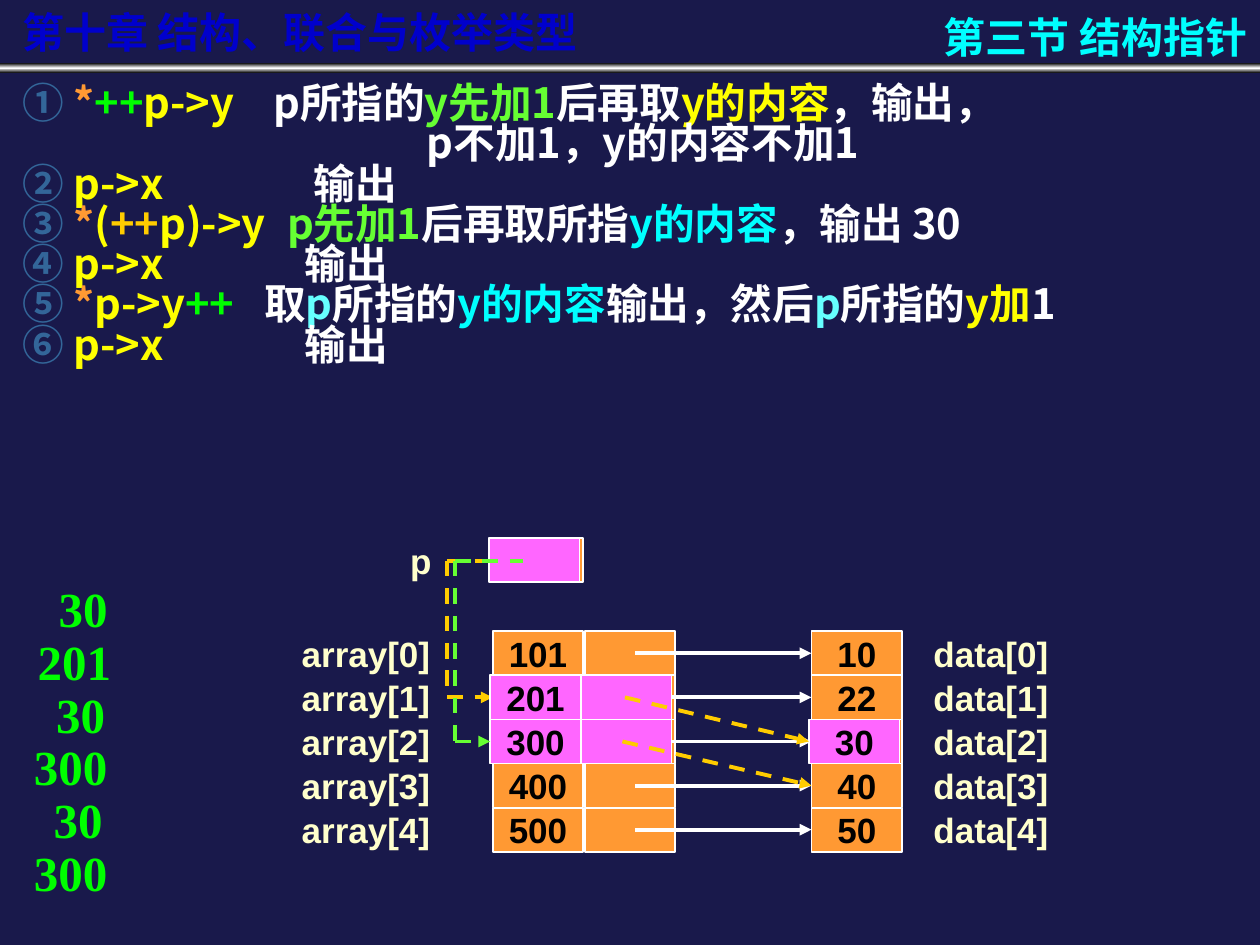
import copy

import lxml.etree
import pptx
import pptx.dml.color
import pptx.enum.dml
import pptx.enum.shapes
import pptx.enum.text
import pptx.oxml.ns
import pptx.util

RGB = pptx.dml.color.RGBColor
ALIGN = pptx.enum.text.PP_ALIGN
ANCHOR = pptx.enum.text.MSO_ANCHOR
NAVY = RGB(0x19, 0x19, 0x4B)
BLACK = RGB(0, 0, 0)
WHITE = RGB(0xFF, 0xFF, 0xFF)
BLUE = RGB(0, 0, 0xCC)
STEEL = RGB(0x33, 0x66, 0x99)
ORANGE = RGB(0xFF, 0x99, 0x33)
GOLD = RGB(0xFF, 0xCC, 0)
YELLOW = RGB(0xFF, 0xFF, 0)
CREAM = RGB(0xFF, 0xFF, 0xCC)
GREEN = RGB(0, 0xFF, 0)
LIME = RGB(0x66, 0xFF, 0x33)
CYAN = RGB(0, 0xFF, 0xFF)
SKY = RGB(0x66, 0xFF, 0xFF)
PINK = RGB(0xFF, 0x66, 0xFF)
SANS = "Arial"
SERIF = "Times New Roman"
HAN = "Noto Sans CJK SC"

NOTES = [
    (1.99, 0, [("① ", STEEL), ("*", ORANGE), ("++", GREEN), ("p->y\t", YELLOW),
               ("p所指的", WHITE), ("y先加1", LIME), ("后再取", WHITE),
               ("y的内容", YELLOW), ("，输出，", WHITE)]),
    (None, 3.21, [("p不加1，y的内容不加1", WHITE)]),
    (2.31, 0, [("② ", STEEL), ("p->x\t", YELLOW), ("输出", WHITE)]),
    (2.1, 0, [("③ ", STEEL), ("*", ORANGE), ("(", YELLOW), ("++", GOLD),
              ("p)->y\t", YELLOW), ("p先加1", LIME), ("后再取所指", WHITE),
              ("y的内容", CYAN), ("，输出 30", WHITE)]),
    (2.24, 0, [("④ ", STEEL), ("p->x\t", YELLOW), ("输出", WHITE)]),
    (1.92, 0, [("⑤ ", STEEL), ("*", ORANGE), ("p->y", YELLOW), ("++\t", GREEN),
               ("取", WHITE), ("p", SKY), ("所指的", WHITE), ("y的内容", CYAN),
               ("输出，然后", WHITE), ("p", SKY), ("所指的", WHITE),
               ("y加", YELLOW), ("1", WHITE)]),
    (2.24, 0, [("⑥ ", STEEL), ("p->x\t", YELLOW), ("输出", WHITE)]),
]


def frame(*nums):
    return [pptx.util.Inches(num) for num in nums]


def child(node, tag, **attrs):
    return lxml.etree.SubElement(node, pptx.oxml.ns.qn(tag), **attrs)


def write(shape, text, size=20, font=SANS, color=BLACK, align=ALIGN.CENTER,
          anchor=ANCHOR.MIDDLE, wrap=True, new=False, shade=None):
    body = shape.text_frame
    body.word_wrap = wrap
    body.auto_size = pptx.enum.text.MSO_AUTO_SIZE.NONE
    body.vertical_anchor = anchor
    para = body.add_paragraph() if new else body.paragraphs[0]
    para.alignment = align
    runs = [(text, color)] if isinstance(text, str) else text
    for words, tint in runs:
        run = para.add_run()
        run.text = words
        run.font.size = pptx.util.Pt(size)
        run.font.bold = True
        run.font.color.rgb = tint
        props = run.font._element
        if shade:
            drop = child(child(props, "a:effectLst"), "a:outerShdw",
                         dist="25400", dir="2700000")
            child(drop, "a:srgbClr", val=shade)
        run.font.name = font
        child(props, "a:ea", typeface=font)
    return para


def label(slide, box, text, **form):
    shape = slide.shapes.add_textbox(*frame(*box))
    write(shape, text, **form)
    return shape


def block(slide, box, fill=ORANGE, text=None):
    shape = slide.shapes.add_shape(
        pptx.enum.shapes.MSO_SHAPE.RECTANGLE, *frame(*box))
    shape.shadow.inherit = False
    shape.fill.solid()
    shape.fill.fore_color.rgb = fill
    shape.line.color.rgb = WHITE
    shape.line.width = pptx.util.Pt(1)
    if text:
        write(shape, text)
    return shape


def link(slide, start, end, color=WHITE, dash=False, head=False, goal=None):
    line = slide.shapes.add_connector(
        pptx.enum.shapes.MSO_CONNECTOR.STRAIGHT, *frame(*start, *end))
    line.line.color.rgb = color
    line.line.width = pptx.util.Pt(2.25)
    if dash:
        line.line.dash_style = pptx.enum.dml.MSO_LINE.DASH
    if head:
        child(line.line._get_or_add_ln(), "a:tailEnd", type="triangle")
    child(line._element.spPr, "a:effectLst")
    if goal is not None:
        line.end_connect(goal, 1)


def header(slide, box):
    x, y, w, h = box
    bar = block(slide, (x, y + h - 0.08, w, 0.08))
    bar.line.fill.background()
    bar.fill.gradient()
    bar.fill.gradient_angle = 90
    stops = bar._element.spPr.find(".//" + pptx.oxml.ns.qn("a:gsLst"))
    stops.append(copy.deepcopy(stops[0]))
    for stop, spot, tint in zip(bar.fill.gradient_stops, (0, 0.5, 1),
                                (BLACK, WHITE, BLACK)):
        stop.position = spot
        stop.color.rgb = tint
    label(slide, (x + 0.08, y + 0.08, 5, 0.42), "第十章 结构、联合与枚举类型",
          size=24, font=HAN, color=BLUE, align=ALIGN.LEFT,
          anchor=ANCHOR.BOTTOM, shade="808080")
    title = slide.shapes.title
    title.left, title.top, title.width, title.height = frame(
        x + w - 3.92, y, 3.92, h)
    write(title, "第三节 结构指针", size=24, font=HAN, color=CYAN,
          align=ALIGN.RIGHT)


def notes(slide, box):
    shape = slide.shapes.add_textbox(*frame(*box))
    for row, (stop, indent, runs) in enumerate(NOTES):
        para = write(shape, runs, size=23.8, font=HAN, align=ALIGN.JUSTIFY,
                     anchor=ANCHOR.TOP, new=row > 0)
        props = para._p.get_or_add_pPr()
        if indent:
            props.set("marL", str(pptx.util.Inches(indent)))
        if stop:
            child(child(props, "a:tabLst"), "a:tab",
                  pos=str(pptx.util.Inches(stop)), algn="l")
        para.line_spacing = 0.7
        if row:
            para.space_before = pptx.util.Pt(3)


def elbow(slide, start, turn, goal, color):
    x, y = turn
    end = y + (goal.top + goal.height / 2) / pptx.util.Inches(1) - y
    link(slide, turn, (start, y), color, dash=True)
    link(slide, turn, (x, end), color, dash=True)
    link(slide, (x, end), (x, end), color, dash=True, head=True, goal=goal)


def memory(slide, box):
    x, y, w, h = box
    wide, high = 0.72, 0.35
    keys, refs, vals = x + 1.74, x + 2.47, x + 4.27
    tops = [y + 0.74 + high * row for row in range(5)]
    mids = [top + high / 2 for top in tops]
    names, cells = [], []
    pairs = zip(tops, (101, 201, 300, 400, 500), (10, 22, 30, 40, 50))
    for row, (top, key, val) in enumerate(pairs):
        names.append(block(slide, (keys, top, wide, high), text=str(key)))
        block(slide, (refs, top, wide, high))
        cells.append(block(slide, (vals, top, wide, high), text=str(val)))
        label(slide, (x, top, 1.47, high), f"array[{row}]", color=CREAM)
        label(slide, (x + w - 1.43, top, 1.43, high), f"data[{row}]",
              color=CREAM)
    for mid, cell in zip(mids, cells):
        link(slide, (refs + 0.4, mid), (vals, mid), head=True, goal=cell)

    label(slide, (x + 0.81, y, wide, high), "p", color=CREAM)
    block(slide, (keys, y, wide, high))
    elbow(slide, x + 2.06, (x + 1.38, y + 0.18), names[1], GOLD)

    block(slide, (refs - 0.03, tops[1], wide, high), PINK)
    seen = block(slide, (vals - 0.02, tops[2], wide, high), PINK, "30")
    link(slide, (refs + 0.32, mids[1]), (vals, mids[2]), GOLD, dash=True,
         head=True, goal=seen)
    block(slide, (keys - 0.02, tops[1], wide, high), PINK, "201")
    block(slide, (keys - 0.03, y, wide, high), PINK)
    block(slide, (refs - 0.03, tops[2], wide, high), PINK)
    last = block(slide, (keys - 0.02, tops[2], wide, high), PINK, "300")
    elbow(slide, x + 1.98, (x + 1.44, y + 0.18), last, LIME)
    link(slide, (refs + 0.3, mids[2]), (vals, mids[3]), GOLD, dash=True,
         head=True, goal=cells[3])


def output(slide, box):
    x, y, w, h = box
    items = [("30", 0.1), ("201", 0.03), ("30", 0.08),
             ("300", 0), ("30", 0.06), ("300", 0)]
    step = h / len(items)
    for row, (text, shift) in enumerate(items):
        label(slide, (x + shift, y + step * row, w, 0.57), text, size=28,
              font=SERIF, color=GREEN, anchor=ANCHOR.TOP, wrap=False)


def main():
    deck = pptx.Presentation()
    deck.slide_width, deck.slide_height = frame(10, 7.5)
    slide = deck.slides.add_slide(deck.slide_layouts[5])
    slide.background.fill.solid()
    slide.background.fill.fore_color.rgb = NAVY
    header(slide, (0, 0, 10, 0.58))
    notes(slide, (0.08, 0.67, 9.92, 2.67))
    memory(slide, (2.17, 4.27, 6.41, 2.48))
    output(slide, (0.17, 4.54, 0.78, 2.52))
    deck.save("out.pptx")


if __name__ == "__main__":
    main()
